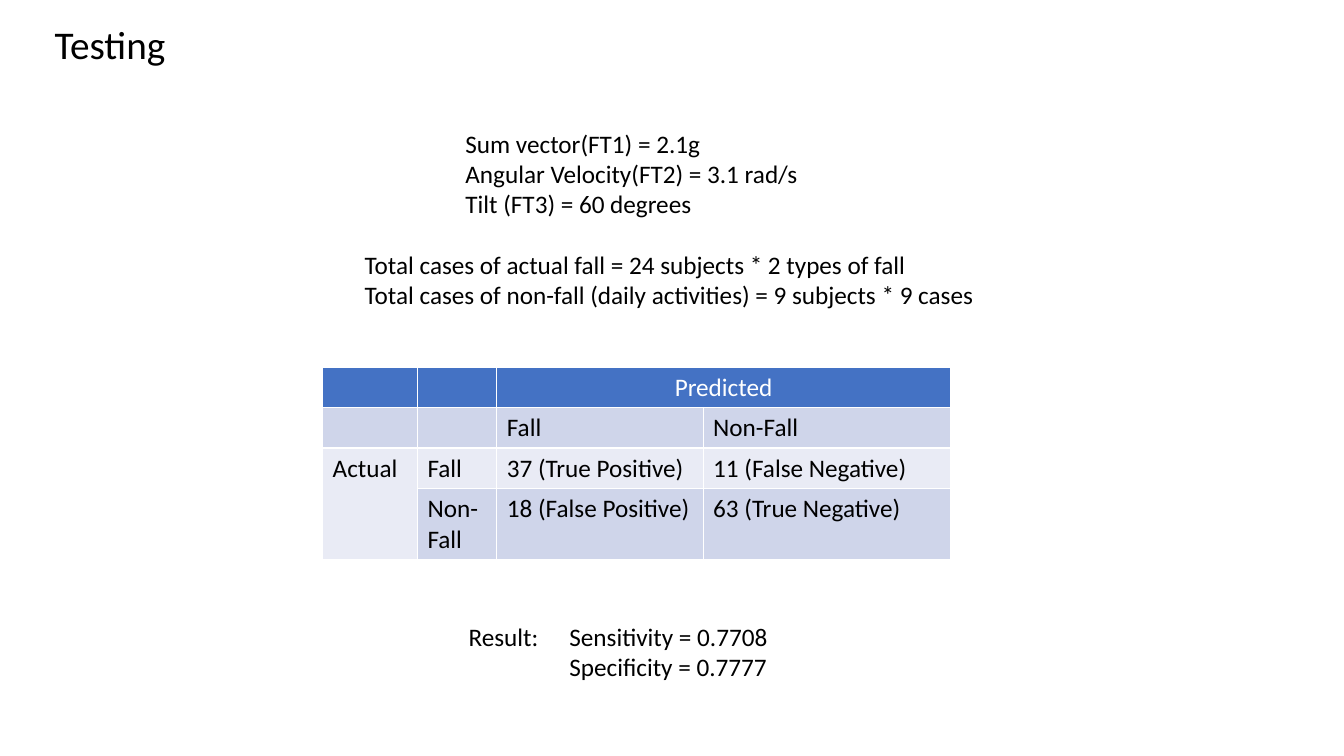
from lxml import etree
from pptx import Presentation
from pptx import util as u
from pptx.dml.color import RGBColor
from pptx.enum import text
from pptx.oxml import ns

BLACK, WHITE = "000000", "FFFFFF"
HEADER, BAND_DARK, BAND_LIGHT = "4472C4", "CFD5EA", "E9EBF5"
TAB = 2.54


def color(hex_string):
    return RGBColor.from_string(hex_string)


def write(paragraph, words, size=18, ink=BLACK, align=text.PP_ALIGN.LEFT,
          indent=0, hanging=0, before=0):
    """Fill one paragraph; indents in cm, space before in points."""
    properties = paragraph._p.get_or_add_pPr()
    properties.set("marL", str(u.Cm(indent)))
    properties.set("indent", str(-u.Cm(hanging)))
    paragraph.text = words
    paragraph.alignment = align
    paragraph.space_before = u.Pt(before)
    paragraph.font.name = "Calibri"
    paragraph.font.size = u.Pt(size)
    paragraph.font.color.rgb = color(ink)


def add_title(slide, words, left, top, width, height):
    title = slide.shapes.title
    title.left, title.top, title.width, title.height = map(u.Cm, (left, top, width, height))
    frame = title.text_frame
    frame.auto_size = text.MSO_AUTO_SIZE.NONE
    frame.vertical_anchor = text.MSO_ANCHOR.MIDDLE
    write(frame.paragraphs[0], words, size=28)
    frame.paragraphs[0].line_spacing = 0.9


def add_lines(slide, lines, left, top, width, height):
    """Place a text box; each line is its words and its format."""
    frame = slide.shapes.add_textbox(*map(u.Cm, (left, top, width, height))).text_frame
    frame.word_wrap = True
    for index, (words, style) in enumerate(lines):
        paragraph = frame.add_paragraph() if index else frame.paragraphs[0]
        write(paragraph, words, **style)


def format_cell(cell, fill):
    properties = cell._tc.get_or_add_tcPr()
    for side in ("a:lnL", "a:lnR", "a:lnT", "a:lnB"):
        line = etree.SubElement(properties, ns.qn(side), w=str(u.Pt(1)))
        solid = etree.SubElement(line, ns.qn("a:solidFill"))
        etree.SubElement(solid, ns.qn("a:srgbClr"), val=WHITE)
    cell.fill.solid()
    cell.fill.fore_color.rgb = color(fill)


def add_confusion_table(slide, rows, left, top, widths, heights):
    box = map(u.Cm, (left, top, sum(widths), sum(heights)))
    table = slide.shapes.add_table(len(rows), len(widths), *box).table
    for column, width in zip(table.columns, widths):
        column.width = u.Cm(width)
    for row, height in zip(table.rows, heights):
        row.height = u.Cm(height)
    fills = (HEADER, BAND_DARK, BAND_LIGHT, BAND_DARK)
    for row_index, (row, fill) in enumerate(zip(rows, fills)):
        header = row_index == 0
        for column_index, words in enumerate(row):
            cell = table.cell(row_index, column_index)
            format_cell(cell, fill)
            write(cell.text_frame.paragraphs[0], words,
                  ink=WHITE if header else BLACK,
                  align=text.PP_ALIGN.CENTER if header else text.PP_ALIGN.LEFT)
    # Predicted spans its two columns, Actual its two rows
    table.cell(0, 2).merge(table.cell(0, 3))
    table.cell(2, 0).merge(table.cell(3, 0))


def build_testing_slide(presentation):
    slide = presentation.slides.add_slide(presentation.slide_layouts[5])
    add_title(slide, "Testing", 1.12, 0.53, 30.4, 1.3)

    # Thresholds and case counts
    threshold = {"indent": TAB}
    add_lines(slide, [
        ("Sum vector(FT1) = 2.1g", threshold),
        ("Angular Velocity(FT2) = 3.1 rad/s", threshold),
        ("Tilt (FT3) = 60 degrees", threshold),
        ("Total cases of actual fall = 24 subjects * 2 types of fall", {"before": 22}),
        ("Total cases of non-fall (daily activities) = 9 subjects * 9 cases", {}),
    ], 8.94, 3.1, 16.23, 6.4)

    # Confusion matrix
    add_confusion_table(slide, [
        ("", "", "Predicted", ""),
        ("", "", "Fall", "Non-Fall"),
        ("Actual", "Fall", "37 (True Positive)", "11 (False Negative)"),
        ("", "Non-Fall", "18 (False Positive)", "63 (True Negative)"),
    ], 8.13, 9.25, (2.39, 2, 5.2, 6.23), (1.02, 1.02, 1.02, 1.78))

    # Results
    add_lines(slide, [
        ("Result:\tSensitivity = 0.7708", {"indent": TAB, "hanging": TAB}),
        ("Specificity = 0.7777", {"indent": TAB}),
    ], 11.56, 15.52, 15, 1.8)


def main():
    presentation = Presentation()
    presentation.slide_width, presentation.slide_height = u.Cm(33.87), u.Cm(19.05)
    build_testing_slide(presentation)
    presentation.save("out.pptx")


if __name__ == "__main__":
    main()
